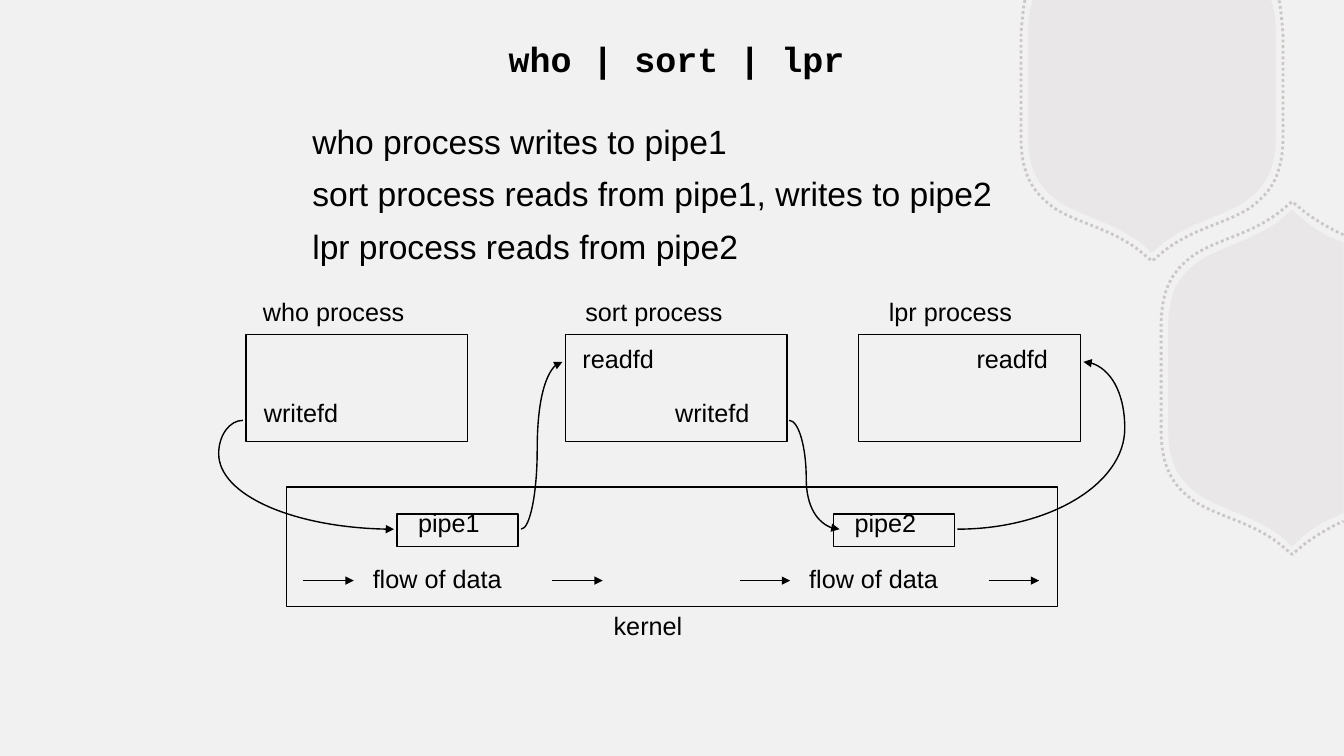
from pptx import Presentation
from pptx.dml.color import RGBColor
from pptx.enum.dml import MSO_LINE
from pptx.enum.shapes import MSO_CONNECTOR, MSO_SHAPE
from pptx.enum.text import PP_ALIGN
from pptx.oxml.ns import qn
from pptx.oxml.xmlchemy import OxmlElement
from pptx.util import Cm, Pt

BLACK = RGBColor(0x00, 0x00, 0x00)
PAPER = RGBColor(0xF2, 0xF1, 0xF1)
GREY = RGBColor(0xB8, 0xB2, 0xB2)

# Content; all positions are in inches
TITLE = "who | sort | lpr"
STEPS = [
    "who process writes to pipe1",
    "sort process reads from pipe1, writes to pipe2",
    "lpr process reads from pipe2",
]
PROCESS_TOP, PROCESS_SIZE = 3.32, (2.2, 1.06)
READ_TOP, WRITE_TOP = 3.36, 3.89
# box left, (label, left, width), [(descriptor, left, top, width)]
PROCESSES = [
    (2.44, ("who process", 2.51, 1.62), [("writefd", 2.52, WRITE_TOP, 0.95)]),
    (5.61, ("sort process", 5.71, 1.58),
     [("readfd", 5.68, READ_TOP, 0.92), ("writefd", 6.6, WRITE_TOP, 0.95)]),
    (8.52, ("lpr process", 8.72, 1.44), [("readfd", 9.59, READ_TOP, 0.92)]),
]
KERNEL = (2.84, 4.83, 7.65, 1.19)
PIPES = [("pipe1", 3.94), ("pipe2", 8.27)]
FLOW_LABEL, FLOW_Y, FLOW_LENGTH = "flow of data", 5.76, 0.5
FLOW_OFFSETS = (-0.93, 1.54)  # arrow starts, from the pipe's left side
# Curved arrows: start, turning point, end
CURVES = [
    ((2.41, 4.17), (2.17, 4.5), (3.91, 5.25)),
    ((5.17, 5.25), (5.33, 4.46), (5.58, 3.59)),
    ((7.83, 4.17), (8, 4.75), (8.33, 5.25)),
    ((9.5, 5.25), (11.16, 4.25), (10.75, 3.59)),
]
# Hexagon corners, from the centre: side, two rounded curves, tip
FILLED_CORNER = [(-1.23, 0.49), (-1.23, 0.84), (-1.13, 1.02), (-0.91, 1.17),
                 (-0.68, 1.31), (-0.38, 1.37), (-0.11, 1.57),
                 (-0.11, 1.57), (0, 1.67), (0, 1.67)]
DOTTED_CORNER = [(-1.3, 0.51), (-1.3, 0.88), (-1.19, 1.07), (-0.96, 1.23),
                 (-0.72, 1.38), (-0.4, 1.43), (-0.12, 1.65),
                 (-0.12, 1.65), (0, 1.75), (0, 1.75)]
# Where the slide's edges cut the hexagons
FILLED_TOP = [(-1.18, -0.84), (-1.18, -0.84), (-1.19, -0.81), (-1.19, -0.81),
              (-1.22, -0.72), (-1.23, -0.61), (-1.23, -0.48)]
DOTTED_TOP = [(-1.26, -0.84), (-1.28, -0.76), (-1.29, -0.59), (-1.3, -0.52)]
FILLED_RIGHT = [(0.11, 1.57), (0.18, 1.51), (0.25, 1.47), (0.31, 1.43),
                (0.31, 1.43), (0.51, 1.34), (0.51, 1.34)]
DOTTED_RIGHT = [(0.12, 1.65), (0.2, 1.59), (0.37, 1.48), (0.51, 1.42)]
UPPER_CENTRE, LOWER_CENTRE = (11.43, 0.84), (12.82, 3.75)

presentation = Presentation()
presentation.slide_width, presentation.slide_height = Cm(33.87), Cm(19.05)
slide = presentation.slides.add_slide(presentation.slide_layouts[6])
slide.background.fill.solid()
slide.background.fill.fore_color.rgb = PAPER
shapes = slide.shapes


def inches(*values):
    return [Cm(value * 2.54) for value in values]


def set_alpha(shape, percent):
    for color in shape.element.spPr.iter(qn("a:srgbClr")):
        alpha = OxmlElement("a:alpha")
        alpha.set("val", str(percent * 1000))
        color.append(alpha)


def draw_line(shape, color=BLACK, width=1, arrow=False):
    shape.line.color.rgb = color
    shape.line.width = Pt(width)
    if arrow:
        tail = OxmlElement("a:tailEnd")
        tail.set("type", "triangle")
        shape.line._get_or_add_ln().append(tail)


def add_run(paragraph, text, size, font="Arial", bold=False):
    run = paragraph.add_run()
    run.text = text
    run.font.size, run.font.name, run.font.bold = Pt(size), font, bold
    run.font.color.rgb = BLACK


def add_label(text, left, top, width):
    frame = shapes.add_textbox(*inches(left, top, width, 0.4)).text_frame
    frame.word_wrap = False
    add_run(frame.paragraphs[0], text, 18)


def add_box(left, top, width, height):
    box = shapes.add_shape(MSO_SHAPE.RECTANGLE, *inches(left, top, width, height))
    box.shadow.inherit = False
    box.fill.background()
    draw_line(box)


def add_bezier(points, close=False):
    """Draw points as start, then control, control, end for each curve."""
    start, *rest = [inches(*point) for point in points]
    builder = shapes.build_freeform(*start)
    builder.add_line_segments(rest, close=close)
    shape = builder.convert_to_shape()
    shape.shadow.inherit = False
    shape.fill.background()
    outline = shape.element.spPr.find(".//" + qn("a:path"))
    segments = outline.findall(qn("a:lnTo"))
    for index in range(0, len(rest), 3):
        curve = OxmlElement("a:cubicBezTo")
        segments[index].addprevious(curve)
        for segment in segments[index:index + 3]:
            curve.append(segment[0])
            outline.remove(segment)
    return shape


def join(first, *others):
    """Link curves with straight stretches."""
    points = list(first)
    for other in others:
        points += [points[-1], other[0], *other]
    return points


def mirror(points, x_sign, y_sign):
    return [(x * x_sign, y * y_sign) for x, y in reversed(points)]


def add_hexagon(centre, points, filled):
    placed = [(centre[0] + x, centre[1] + y) for x, y in points]
    hexagon = add_bezier(placed, close=filled)
    if filled:
        hexagon.fill.solid()
        hexagon.fill.fore_color.rgb = GREY
        hexagon.line.fill.background()
        set_alpha(hexagon, 15)
    else:
        draw_line(hexagon, GREY, 2)
        hexagon.line.dash_style = MSO_LINE.ROUND_DOT
        set_alpha(hexagon, 65)


# Background hexagons
for corner, top, right, filled in (
        (FILLED_CORNER, FILLED_TOP, FILLED_RIGHT, True),
        (DOTTED_CORNER, DOTTED_TOP, DOTTED_RIGHT, False)):
    left_half = join(top, corner)
    add_hexagon(UPPER_CENTRE, left_half + mirror(left_half, -1, 1)[1:], filled)
    lower = join(mirror(right, 1, -1), mirror(corner, 1, -1), corner, right)
    add_hexagon(LOWER_CENTRE, lower, filled)

# Title and steps
frame = shapes.add_textbox(*inches(3, 0.25, 7.42, 2.75)).text_frame
frame.word_wrap = True
frame.margin_top = Cm(0.3)
heading = frame.paragraphs[0]
heading.alignment = PP_ALIGN.CENTER
add_run(heading, TITLE, 25, "Courier New", True)
for index, step in enumerate(STEPS):
    paragraph = frame.add_paragraph()
    paragraph.space_before = Pt(9 if index else 29.5)
    add_run(paragraph, step, 24)

# Processes and kernel
for box_left, (name, label_left, label_width), descriptors in PROCESSES:
    add_box(box_left, PROCESS_TOP, *PROCESS_SIZE)
    add_label(name, label_left, 2.89, label_width)
    for descriptor in descriptors:
        add_label(*descriptor)
add_box(*KERNEL)
add_label("kernel", 5.99, 6.01, 0.89)

# Pipes with their data flow
for name, left in PIPES:
    add_box(left, 5.1, 1.2, 0.32)
    add_label(name, left + 0.11, 4.98, 0.82)
    add_label(FLOW_LABEL, left - 0.34, 5.54, 1.49)
    for offset in FLOW_OFFSETS:
        x = left + offset
        arrow = shapes.add_connector(
            MSO_CONNECTOR.STRAIGHT, *inches(x, FLOW_Y, x + FLOW_LENGTH, FLOW_Y))
        draw_line(arrow, arrow=True)
        arrow.element.spPr.append(OxmlElement("a:effectLst"))

# Curved arrows, each made of two quarter ellipses
ROUNDNESS = 0.55
for start, turn, end in CURVES:
    halves = []
    for x, y in (start, end):
        halves.append([(x, y), (x + ROUNDNESS * (turn[0] - x), y),
                       (turn[0], turn[1] + ROUNDNESS * (y - turn[1])), turn])
    draw_line(add_bezier(halves[0] + halves[1][-2::-1]), arrow=True)

presentation.save("out.pptx")
